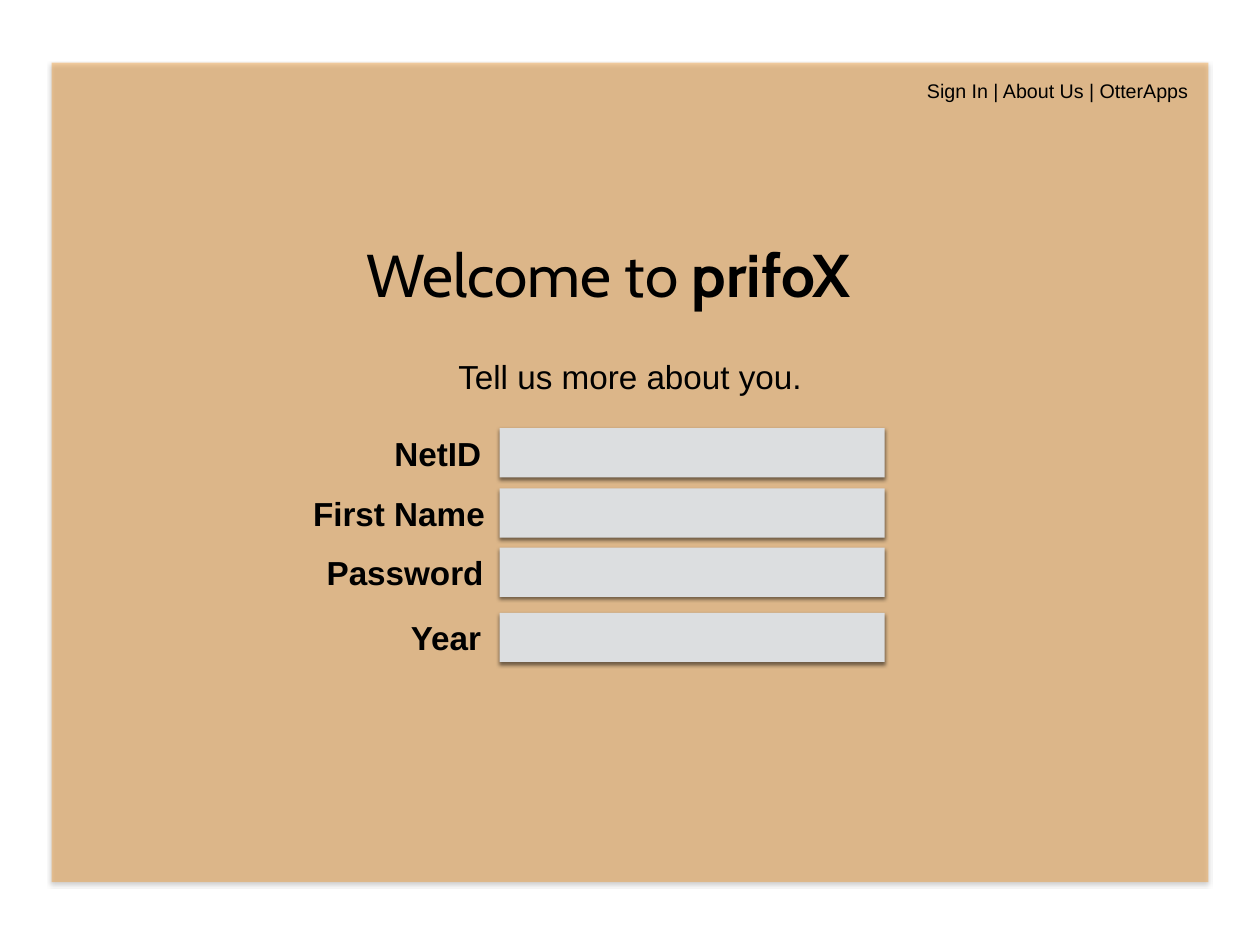
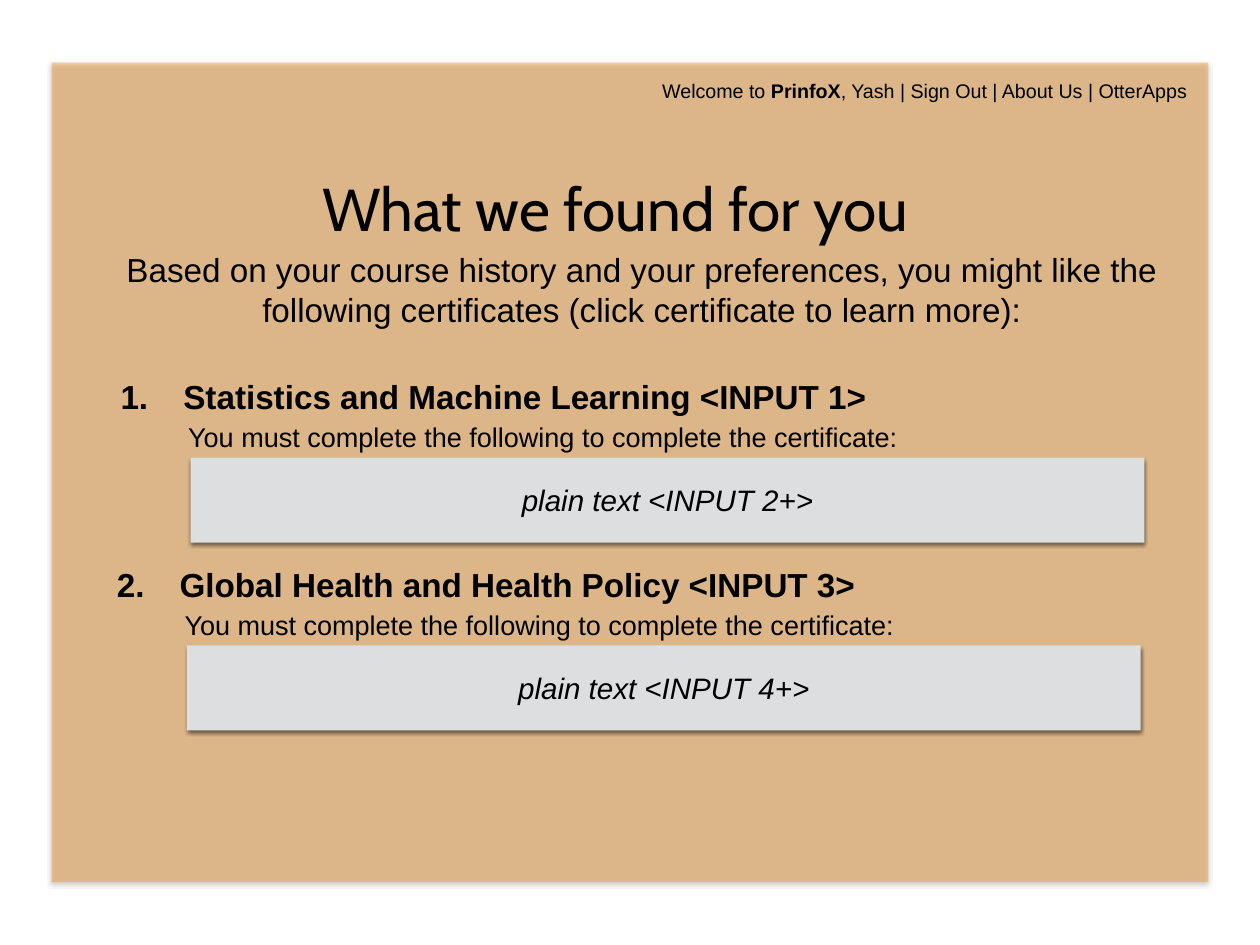
from dataclasses import dataclass
from typing import NamedTuple

from lxml import etree
from pptx import Presentation
from pptx.dml.color import RGBColor
from pptx.enum.shapes import MSO_SHAPE
from pptx.enum.text import MSO_ANCHOR, MSO_AUTO_SIZE, PP_ALIGN
from pptx.oxml.ns import qn
from pptx.util import Pt

RECTANGLE = MSO_SHAPE.RECTANGLE
MIDDLE = MSO_ANCHOR.MIDDLE
GROW = MSO_AUTO_SIZE.SHAPE_TO_FIT_TEXT
LEFT, CENTER, RIGHT = PP_ALIGN.LEFT, PP_ALIGN.CENTER, PP_ALIGN.RIGHT

BLACK = RGBColor(0x00, 0x00, 0x00)
ORANGE = RGBColor(0xF3, 0x90, 0x19)
GRAY = RGBColor(0xDC, 0xDE, 0xE0)

# The slide is a grid of one-point cells
COLUMNS, ROWS = 1024, 768
INSET = Pt(4)
PANEL_OPACITY = 38
LINKS_RIGHT = 975
TITLE_LAYOUT = 1


class Area(NamedTuple):
    """Left column, top row, columns wide and rows high."""
    left: float
    top: float
    width: float
    height: float

    def shifted(self, columns: float, rows: float) -> "Area":
        return self._replace(left=self.left + columns, top=self.top + rows)


class Span(NamedTuple):
    text: str
    bold: bool = False


@dataclass(frozen=True)
class Style:
    size: float
    font: str = "Arial"
    italic: bool = False
    align: PP_ALIGN = CENTER
    wrap: bool = True


@dataclass(frozen=True)
class Field:
    label: str
    area: Area


@dataclass(frozen=True)
class Certificate:
    number: str
    name: str
    requirement: str
    columns: float
    rows: float


PANEL = Area(42, 51, 940, 666)
TITLE = Style(49, "Cabin", align=LEFT, wrap=False)
PROMPT = Style(27)
SHORT_PROMPT = Style(27, wrap=False)
LINKS = Style(16)
LABEL = Style(27, align=RIGHT, wrap=False)
NUMBER = Style(27, align=LEFT, wrap=False)
HEADING = Style(27, align=LEFT)
NOTE = Style(22, align=LEFT)
ANSWER = Style(24, italic=True)

FIELDS = [
    Field("NetID", Area(316, 348, 79, 40)),
    Field("First Name", Area(250, 397, 148, 40)),
    Field("Password", Area(260, 445, 137, 40)),
    Field("Year", Area(329, 498, 66, 40)),
]
INPUT_LEFT, INPUT_WIDTH = 406, 313

NUMBER_AREA = Area(94, 302, 39, 40)
HEADING_AREA = Area(145, 302, 788, 40)
NOTE_AREA = Area(149, 338, 786, 34)
ANSWER_AREA = Area(155, 372, 775, 69)
NOTE_TEXT = "You must complete the following to complete the certificate:"
CERTIFICATES = [
    Certificate("1.", "Statistics and Machine Learning <INPUT 1>",
                "plain text <INPUT 2+>", 0, 0),
    Certificate("2.", "Global Health and Health Policy <INPUT 3>",
                "plain text <INPUT 4+>", -3, 152.6),
]


def place(shape, area: Area) -> None:
    for name, cells in area._asdict().items():
        setattr(shape, name, Pt(cells))


def write(shape, spans: list[Span], style: Style, inset=INSET) -> None:
    """Fill a shape with one formatted paragraph."""
    frame = shape.text_frame
    frame_format = {
        "word_wrap": style.wrap, "vertical_anchor": MIDDLE,
        "margin_left": inset, "margin_right": inset,
        "margin_top": inset, "margin_bottom": inset,
    }
    for name, value in frame_format.items():
        setattr(frame, name, value)
    para = frame.paragraphs[0]
    para.alignment = style.align
    para.space_before = Pt(0)
    for span in spans:
        run = para.add_run()
        run.text = span.text
        run.font.color.rgb = BLACK
        font_format = {"name": style.font, "size": Pt(style.size),
                       "bold": span.bold, "italic": style.italic}
        for name, value in font_format.items():
            setattr(run.font, name, value)


def add_text(slide, area: Area, spans: list[Span], style: Style) -> None:
    box = slide.shapes.add_textbox(*(Pt(cells) for cells in area))
    write(box, spans, style)
    box.text_frame.auto_size = GROW


def fill_placeholder(shape, area: Area, spans: list[Span], style: Style) -> None:
    place(shape, area)
    write(shape, spans, style)
    shape.text_frame.auto_size = GROW


def remove_bullet(shape) -> None:
    properties = shape.text_frame.paragraphs[0]._p.get_or_add_pPr()
    properties.set("marL", "0")
    properties.set("indent", "0")
    etree.SubElement(properties, qn("a:buNone"))


def add_shadow(shape) -> None:
    """Half-black shadow, blurred by 3 pt and dropped 2 pt."""
    shape.shadow.inherit = False
    effects = shape.element.spPr.find(qn("a:effectLst"))
    shadow = etree.SubElement(effects, qn("a:outerShdw"), blurRad=str(Pt(3)),
                              dist=str(Pt(2)), dir="5400000", rotWithShape="0")
    color = etree.SubElement(shadow, qn("a:srgbClr"), val=str(BLACK))
    etree.SubElement(color, qn("a:alpha"), val="50000")


def add_block(slide, area: Area, color: RGBColor):
    block = slide.shapes.add_shape(RECTANGLE, *(Pt(cells) for cells in area))
    block.fill.solid()
    block.fill.fore_color.rgb = color
    block.line.fill.background()
    add_shadow(block)
    return block


def add_page(deck, title_area: Area, title: list[Span], prompt_area: Area,
             prompt: str, prompt_style: Style, links_width: float,
             links: list[Span]):
    """Start a slide with the panel, title, prompt and link row."""
    slide = deck.slides.add_slide(deck.slide_layouts[TITLE_LAYOUT])
    panel = add_block(slide, PANEL, ORANGE)
    color = panel.element.spPr.find(qn("a:solidFill"))[0]
    etree.SubElement(color, qn("a:alpha"), val=str(PANEL_OPACITY * 1000))
    slide.shapes.element.insert(2, panel.element)  # behind the placeholders

    fill_placeholder(slide.shapes.title, title_area, title, TITLE)
    body = slide.placeholders[1]
    fill_placeholder(body, prompt_area, [Span(prompt)], prompt_style)
    remove_bullet(body)
    links_area = Area(LINKS_RIGHT - links_width, 60.5, links_width, 27)
    add_text(slide, links_area, links, LINKS)
    return slide


def build_sign_up(deck) -> None:
    slide = add_page(
        deck, Area(294, 189, 435, 67),
        [Span("Welcome to "), Span("prifoX", bold=True)],
        Area(368, 286, 288, 40), "Tell us more about you.", SHORT_PROMPT,
        231, [Span("Sign In | About Us | OtterApps")])
    for field in FIELDS:
        add_text(slide, field.area, [Span(field.label, bold=True)], LABEL)
        add_block(slide, field.area._replace(left=INPUT_LEFT, width=INPUT_WIDTH),
                  GRAY)


def build_results(deck) -> None:
    slide = add_page(
        deck, Area(258, 135, 507, 67), [Span("What we found for you")],
        Area(76, 199, 891, 72),
        "Based on your course history and your preferences, you might like "
        "the following certificates (click certificate to learn more):",
        PROMPT, 447,
        [Span("Welcome to "), Span("PrinfoX", bold=True),
         Span(", Yash | Sign Out | About Us | OtterApps")])
    for item in CERTIFICATES:
        lines = [
            (NUMBER_AREA, Span(item.number, bold=True), NUMBER),
            (HEADING_AREA, Span(item.name, bold=True), HEADING),
            (NOTE_AREA, Span(NOTE_TEXT), NOTE),
        ]
        for area, span, style in lines:
            add_text(slide, area.shifted(item.columns, item.rows), [span], style)
        answer = add_block(slide, ANSWER_AREA.shifted(item.columns, item.rows),
                           GRAY)
        write(answer, [Span(item.requirement)], ANSWER, inset=0)


def main() -> None:
    deck = Presentation()
    deck.slide_width, deck.slide_height = Pt(COLUMNS), Pt(ROWS)
    build_sign_up(deck)
    build_results(deck)
    deck.save("out.pptx")


if __name__ == "__main__":
    main()
